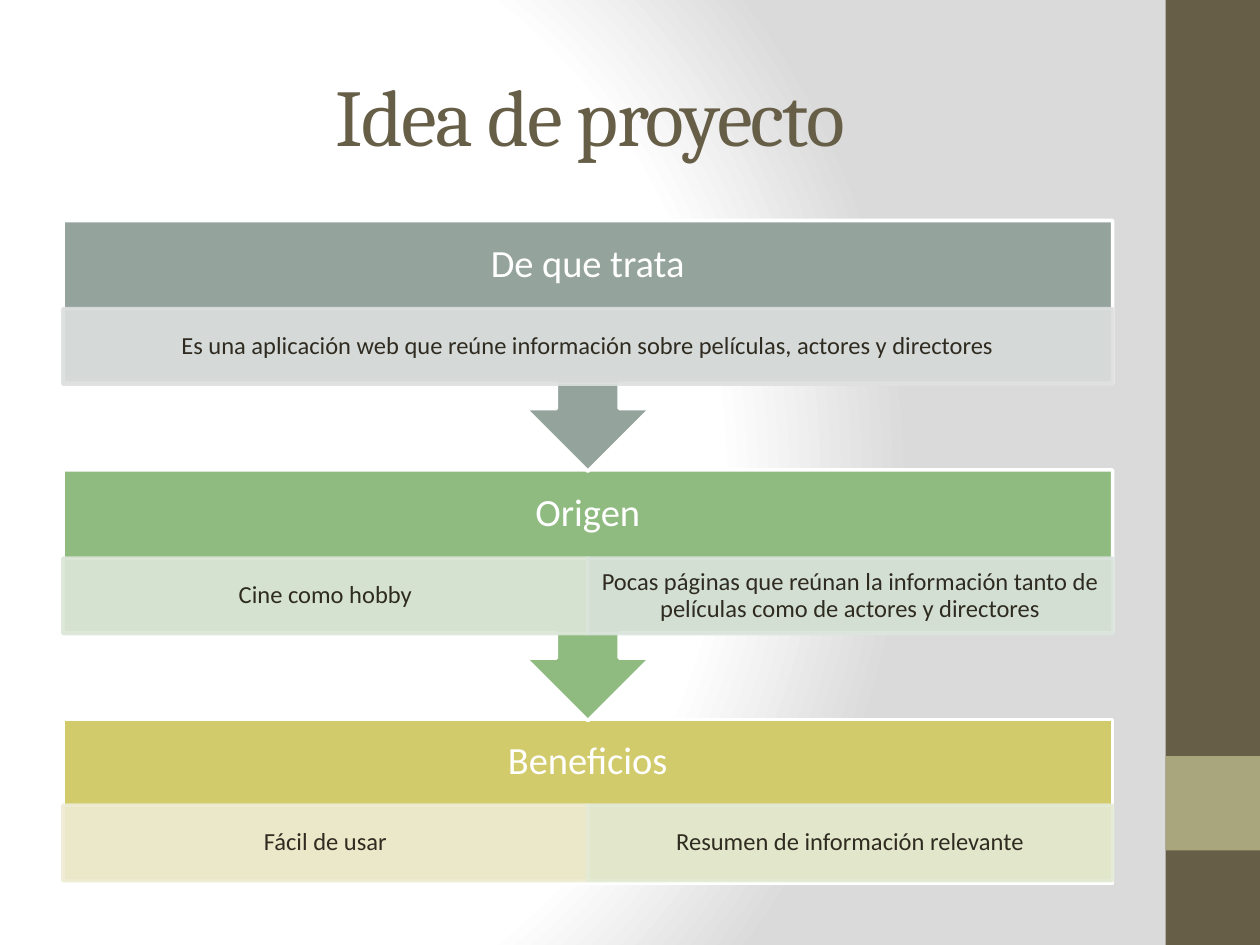
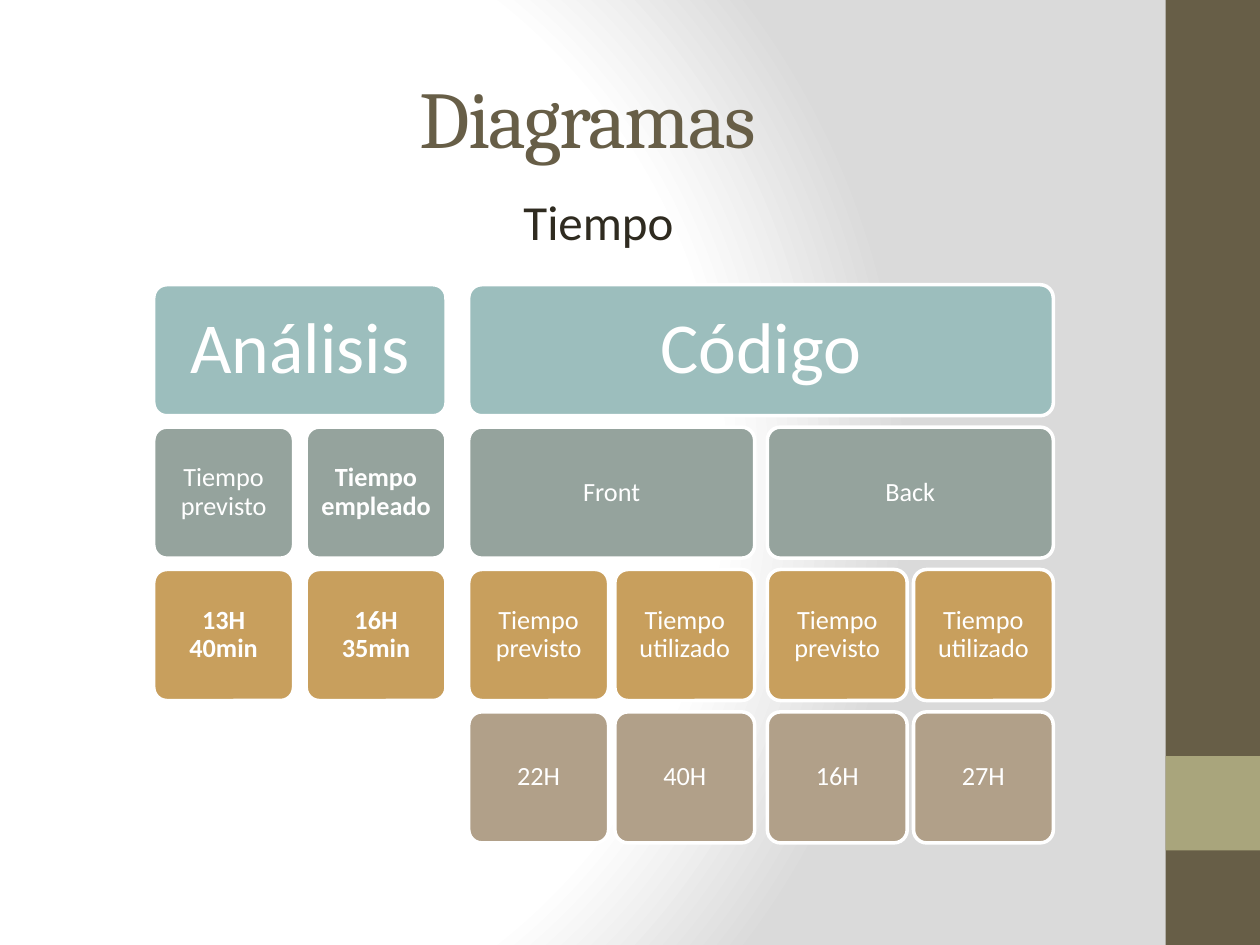
from lxml import etree
from pptx import Presentation
from pptx.dml.color import RGBColor
from pptx.enum.shapes import MSO_SHAPE
from pptx.enum.text import MSO_ANCHOR, MSO_AUTO_SIZE, PP_ALIGN
from pptx.oxml import parse_xml
from pptx.oxml.ns import nsdecls, qn
from pptx.util import Inches, Pt

RECT = MSO_SHAPE.RECTANGLE
ROUNDED = MSO_SHAPE.ROUNDED_RECTANGLE
CALLOUT = MSO_SHAPE.UP_ARROW_CALLOUT
CENTER = PP_ALIGN.CENTER
MIDDLE, TOP = MSO_ANCHOR.MIDDLE, MSO_ANCHOR.TOP
FIXED = MSO_AUTO_SIZE.NONE

IDEA_TITLE = "Idea de proyecto"
IDEA_STEPS = [
    ("De que trata", "95A39D", 0.7, [
        ("Es una aplicación web que reúne información sobre películas, actores y directores", "DDE0DF"),
    ]),
    ("Origen", "8FBB80", 0.7, [
        ("Cine como hobby", "DCE7D8"),
        ("Pocas páginas que reúnan la información tanto de películas como de actores y directores", "DAE4DC"),
    ]),
    ("Beneficios", "D2CB6C", 0.68, [
        ("Fácil de usar", "EEECD4"),
        ("Resumen de información relevante", "E4EBD6"),
    ]),
]

TIME_TITLE = "Diagramas"
TIME_SUBTITLE = "Tiempo"
TIME_TREE = [
    ("Análisis", False, [
        ("Tiempo previsto", False, [("13H 40min", True, [])]),
        ("Tiempo empleado", True, [("16H 35min", True, [])]),
    ]),
    ("Código", False, [
        (area, False, [
            ("Tiempo previsto", False, [(planned, False, [])]),
            ("Tiempo utilizado", False, [(used, False, [])]),
        ])
        for area, planned, used in [("Front", "22H", "40H"), ("Back", "16H", "27H")]
    ]),
]

WHITE, INK, BROWN, OLIVE, GREY = "FFFFFF", "2F2B20", "675E47", "A9A57C", "DADADA"
BACKDROP_STOPS = [(0, WHITE), (75, WHITE), (100, GREY)]
SIDE_BANDS = [(0, 7.5, BROWN), (6, 0.75, OLIVE)]
BAND_LEFT, BAND_WIDTH = 9.25, 0.75

HEADING = dict(size=Pt(46), name="Cambria")
SUBTITLE = dict(size=Pt(28), name="Calibri")
STEP = dict(size=Pt(22), name="Calibri")
DETAIL = dict(size=Pt(14), name="Calibri")
BRANCH = dict(size=Pt(41), name="Calibri")
LEAF = dict(size=Pt(15), name="Calibri")

FLOW_LEFT, FLOW_TOP, FLOW_WIDTH, FLOW_PITCH = 0.5, 1.75, 8.33, 1.98
CALLOUT_HEIGHT, BODY_HEIGHT, DETAIL_HEIGHT = 1.99, 1.3, 0.6

TREE_LEFT, TREE_TOP, TREE_PITCH = 1.22, 2.26, 1.13
CELL_WIDTH, CELL_HEIGHT = 1.11, 1.04
LEVEL_GAPS = [0.18, 0.1, 0.05, 0]
LEVEL_COLORS = ["9CBEBD", "95A39D", "C89F5D", "B1A089"]


def rgb(value):
    return RGBColor.from_string(value)


def place(shape, box):
    for side, length in zip(("left", "top", "width", "height"), box):
        setattr(shape, side, Inches(length))


def write(shape, text, color, font, insets=(0.1, 0.05), anchor=MIDDLE, spacing=0.9):
    frame = shape.text_frame
    across, down = map(Inches, insets)
    settings = dict(word_wrap=True, auto_size=FIXED, vertical_anchor=anchor,
                    margin_left=across, margin_right=across,
                    margin_top=down, margin_bottom=down)
    for key, value in settings.items():
        setattr(frame, key, value)
    paragraph = frame.paragraphs[0]
    paragraph.alignment = CENTER
    paragraph.line_spacing = spacing
    run = paragraph.add_run()
    run.text = text
    for key, value in font.items():
        setattr(run.font, key, value)
    run.font.color.rgb = rgb(color)
    return paragraph, run


def add_block(slide, kind, box, fill, line=None, opacity=100):
    block = slide.shapes.add_shape(kind, *map(Inches, box))
    block.shadow.inherit = False
    block.fill.solid()
    block.fill.fore_color.rgb = rgb(fill)
    if line:
        block.line.color.rgb = rgb(line)
        block.line.width = Pt(2)
    else:
        block.line.fill.background()
    if opacity < 100:
        for color in block.element.spPr.iter(qn("a:srgbClr")):
            etree.SubElement(color, qn("a:alpha"), val=str(opacity * 1000))
    return block


def set_heading(slide, text, box):
    place(slide.shapes.title, box)
    run = write(slide.shapes.title, text, BROWN, HEADING, spacing=1)[1]
    run.font._element.set("spc", "-100")


def style_master(master, slide):
    fill = master.background.fill
    fill.gradient()
    stops = "".join(f'<a:gs pos="{pos * 1000}"><a:srgbClr val="{color}"/></a:gs>'
                    for pos, color in BACKDROP_STOPS)
    radial = parse_xml(
        f'<a:gradFill {nsdecls("a")} rotWithShape="1"><a:gsLst>{stops}</a:gsLst>'
        '<a:path path="circle"><a:fillToRect l="20000" t="50000" r="100000" b="50000"/>'
        '</a:path></a:gradFill>')
    linear = master.element.find(".//" + qn("p:bgPr")).find(qn("a:gradFill"))
    linear.getparent().replace(linear, radial)
    for number, (top, height, color) in enumerate(SIDE_BANDS):
        band = add_block(slide, RECT, (BAND_LEFT, top, BAND_WIDTH, height), color)
        band.element.nvSpPr.cNvPr.set("id", str(100 + number))
        master.shapes.element.insert(2 + number, band.element)


def build_idea(slide):
    set_heading(slide, IDEA_TITLE, (2.24, 0.29, 4.89, 1.24))
    last = len(IDEA_STEPS) - 1
    for row, (step, color, header, details) in reversed(list(enumerate(IDEA_STEPS))):
        top = FLOW_TOP + row * FLOW_PITCH
        kind, height = (RECT, BODY_HEIGHT) if row == last else (CALLOUT, CALLOUT_HEIGHT)
        body = add_block(slide, kind, (FLOW_LEFT, top, FLOW_WIDTH, height), color, WHITE)
        body.rotation = 0 if row == last else 180
        label = slide.shapes.add_textbox(*map(Inches, (FLOW_LEFT, top, FLOW_WIDTH, header)))
        write(label, step, WHITE, STEP, (0.17, 0.17))
        width = FLOW_WIDTH / len(details)
        for column, (detail, tint) in enumerate(details):
            box = (FLOW_LEFT + column * width, top + header, width, DETAIL_HEIGHT)
            cell = add_block(slide, RECT, box, tint, tint, 90)
            write(cell, detail, INK, DETAIL, (0.11, 0.02))


def span(children, level):
    if not children:
        return CELL_WIDTH
    widths = sum(span(child[2], level + 1) for child in children)
    return widths + LEVEL_GAPS[level] * (len(children) - 1)


def add_level(slide, nodes, left, level=0):
    for text, bold, children in nodes:
        width = span(children, level + 1)
        box = (left, TREE_TOP + level * TREE_PITCH, width, CELL_HEIGHT)
        cell = add_block(slide, ROUNDED, box, LEVEL_COLORS[level], WHITE)
        cell.adjustments[0] = 0.1
        font, inset = (LEAF, 0.06) if level else (BRANCH, 0.17)
        write(cell, text, WHITE, dict(font, bold=bold), (inset, inset))
        add_level(slide, children, left, level + 1)
        left += width + LEVEL_GAPS[level]


def build_time(slide):
    set_heading(slide, TIME_TITLE, (0.5, 0.3, 8.33, 1.25))
    subtitle = slide.placeholders[1]
    place(subtitle, (0.51, 1.47, 8.36, 0.66))
    paragraph = write(subtitle, TIME_SUBTITLE, INK, SUBTITLE, anchor=TOP, spacing=1)[0]
    paragraph.space_before = Pt(5.6)
    properties = paragraph._p.get_or_add_pPr()
    properties.set("marL", str(Inches(0.12)))
    properties.set("indent", "0")
    etree.SubElement(properties, qn("a:buNone"))
    add_level(slide, TIME_TREE, TREE_LEFT)


def main():
    deck = Presentation()
    deck.slide_width, deck.slide_height = Inches(10), Inches(7.5)
    idea = deck.slides.add_slide(deck.slide_layouts[5])
    time = deck.slides.add_slide(deck.slide_layouts[1])
    style_master(deck.slide_master, idea)
    build_idea(idea)
    build_time(time)
    deck.save("out.pptx")


if __name__ == "__main__":
    main()
